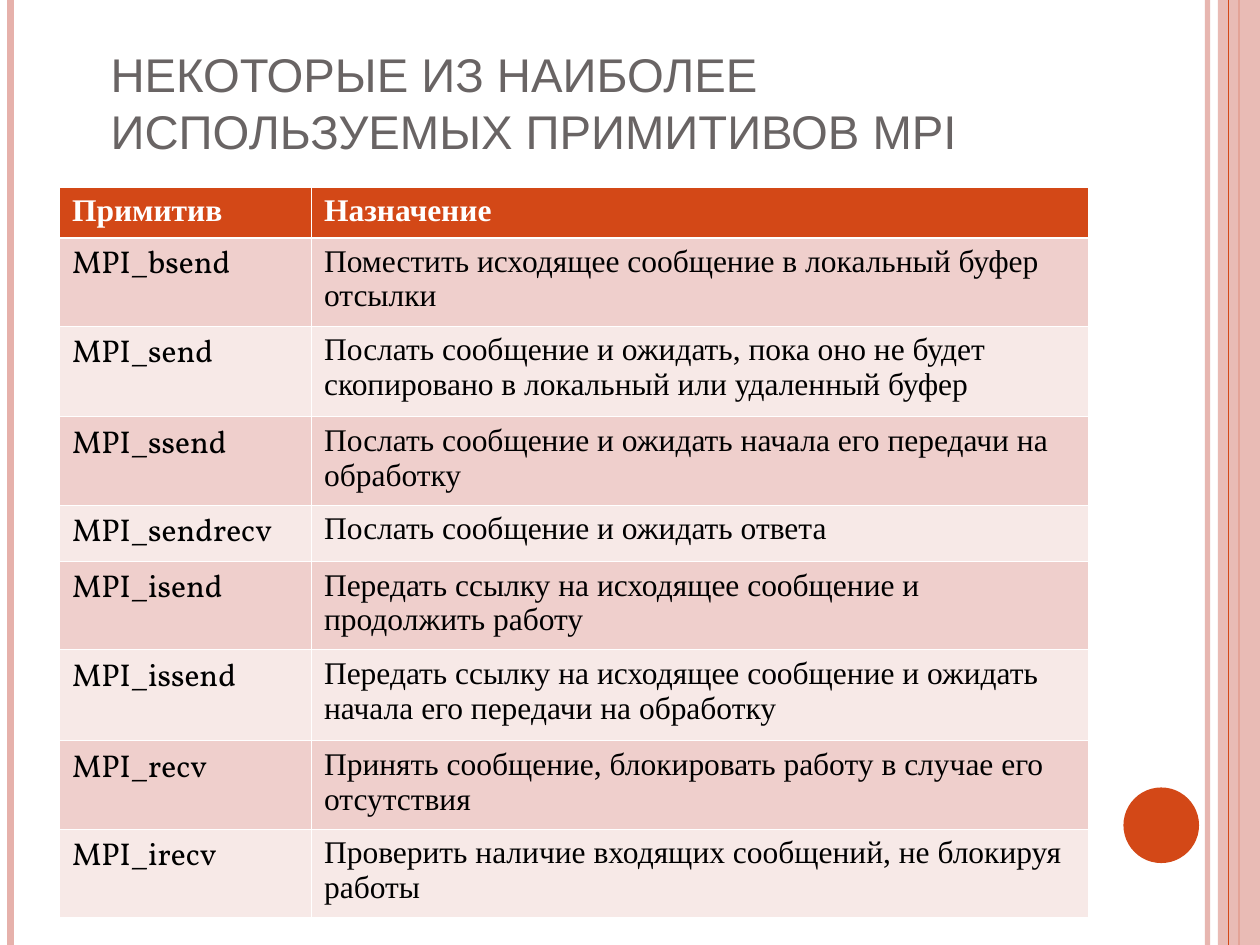
import pptx
import pptx.dml.color
import pptx.enum.shapes
import pptx.enum.text
import pptx.oxml
import pptx.oxml.ns
import pptx.util
from lxml import etree

Pt = pptx.util.Pt
qn = pptx.oxml.ns.qn

ORANGE, PINK, WHITE = "D34817", "E6B1AB", "FFFFFF"
BANDS = ("EFCFCC", "F7E9E7")
HEADER = ("Примитив", "Назначение")
PRIMITIVES = [
    ("MPI_bsend", "Поместить исходящее сообщение в локальный буфер отсылки"),
    ("MPI_send", "Послать сообщение и ожидать, пока оно не будет "
                 "скопировано в локальный или удаленный буфер"),
    ("MPI_ssend", "Послать сообщение и ожидать начала его передачи на обработку"),
    ("MPI_sendrecv", "Послать сообщение и ожидать ответа"),
    ("MPI_isend", "Передать ссылку на исходящее сообщение и продолжить работу"),
    ("MPI_issend", "Передать ссылку на исходящее сообщение и ожидать "
                   "начала его передачи на обработку"),
    ("MPI_recv", "Принять сообщение, блокировать работу в случае его отсутствия"),
    ("MPI_irecv", "Проверить наличие входящих сообщений, не блокируя работы"),
]
ROW_HEIGHTS = (28.8, 50.4, 52, 50.4, 32, 50.4, 52, 50.4, 50.4)


def color(value):
    return pptx.dml.color.RGBColor.from_string(value)


def format_text(para, text, shade, **values):
    span = para.add_run()
    span.text = text
    for name, value in values.items():
        setattr(span.font, name, value)
    span.font.color.rgb = color(shade)


def set_opacity(part, percent):
    """Make the solid colour of a fill or line partly transparent."""
    tint = next(part.iter(qn("a:srgbClr")))
    etree.SubElement(tint, qn("a:alpha"), val=str(percent * 1000))


def add_rule(page, x, top, height, shade, width, opacity=100):
    rule = page.shapes.add_connector(
        pptx.enum.shapes.MSO_CONNECTOR.STRAIGHT, Pt(x), Pt(top), Pt(x), Pt(top + height))
    rule.line.color.rgb = color(shade)
    rule.line.width = Pt(width)
    etree.SubElement(rule._element.spPr, qn("a:effectLst"))
    if opacity < 100:
        set_opacity(rule._element.spPr, opacity)


def add_block(page, kind, left, top, width, height, shade, opacity=100):
    block = page.shapes.add_shape(kind, Pt(left), Pt(top), Pt(width), Pt(height))
    block.shadow.inherit = False
    block.fill.solid()
    block.fill.fore_color.rgb = color(shade)
    block.line.fill.background()
    if opacity < 100:
        set_opacity(block._element.spPr, opacity)


def add_frame(page, left, top, width, height):
    """Stripes along both edges and the disc at lower right."""
    kinds = pptx.enum.shapes.MSO_SHAPE
    right = left + width
    add_rule(page, right - 30, top, height, PINK, 3, 93)
    add_rule(page, left + 6, top, height, PINK, 4.5)
    add_rule(page, right - 12, top, height, ORANGE, 1.5)
    add_block(page, kinds.RECTANGLE, right - 24, top, 24, height, PINK, 87)
    add_rule(page, right - 18, top, height, ORANGE, 0.75)
    add_block(page, kinds.OVAL, right - 78, top + height - 90, 43.2, 43.2, ORANGE)


def fill_title(page, left, top, width, height):
    title = page.shapes.title
    box = {"left": left, "top": top, "width": width, "height": height}
    for name, value in box.items():
        setattr(title, name, Pt(value))
    frame = title.text_frame
    settings = {"word_wrap": True,
                "auto_size": pptx.enum.text.MSO_AUTO_SIZE.NONE,
                "vertical_anchor": pptx.enum.text.MSO_ANCHOR.BOTTOM}
    for name, value in settings.items():
        setattr(frame, name, value)
    para = frame.paragraphs[0]
    para.alignment = pptx.enum.text.PP_ALIGN.LEFT
    format_text(para, "НЕКОТОРЫЕ ИЗ НАИБОЛЕЕ ИСПОЛЬЗУЕМЫХ ПРИМИТИВОВ MPI",
                "696464", name="Arial", size=Pt(27))


def add_borders(cell, widths):
    properties = cell._tc.get_or_add_tcPr()
    for side, width in widths.items():
        border = etree.SubElement(properties, qn("a:ln" + side), w=str(Pt(width)))
        solid = etree.SubElement(border, qn("a:solidFill"))
        etree.SubElement(solid, qn("a:srgbClr"), val=WHITE)


def add_primitives_table(page, left, top, width, first_column):
    rows = [HEADER] + PRIMITIVES
    table = page.shapes.add_table(
        len(rows), 2, Pt(left), Pt(top), Pt(width), Pt(sum(ROW_HEIGHTS))).table
    table.columns[0].width = Pt(first_column)
    table.columns[1].width = Pt(width - first_column)
    for r, (texts, height) in enumerate(zip(rows, ROW_HEIGHTS)):
        table.rows[r].height = Pt(height)
        header = r == 0
        for c, text in enumerate(texts):
            cell = table.cell(r, c)
            # The line under the header is heavier than the rest
            add_borders(cell, {"L": 0.45, "R": 0.45,
                               "T": 1.47 if r == 1 else 0.45,
                               "B": 1.47 if header else 0.45})
            cell.fill.solid()
            cell.fill.fore_color.rgb = color(ORANGE if header else BANDS[(r - 1) % 2])
            font = "Vollkorn" if c == 0 and not header else "Times New Roman"
            format_text(cell.text_frame.paragraphs[0], text,
                        WHITE if header else "000000",
                        name=font, size=Pt(18), bold=header)


def main():
    deck = pptx.Presentation()
    deck.slide_width, deck.slide_height = Pt(720), Pt(540)
    page = deck.slides.add_slide(deck.slide_layouts[5])
    add_frame(page, 0, 0, 720, 540)
    fill_title(page, 56, 22.5, 588, 72)
    add_primitives_table(page, 34, 107, 588, 144)
    deck.save("out.pptx")


if __name__ == "__main__":
    main()
